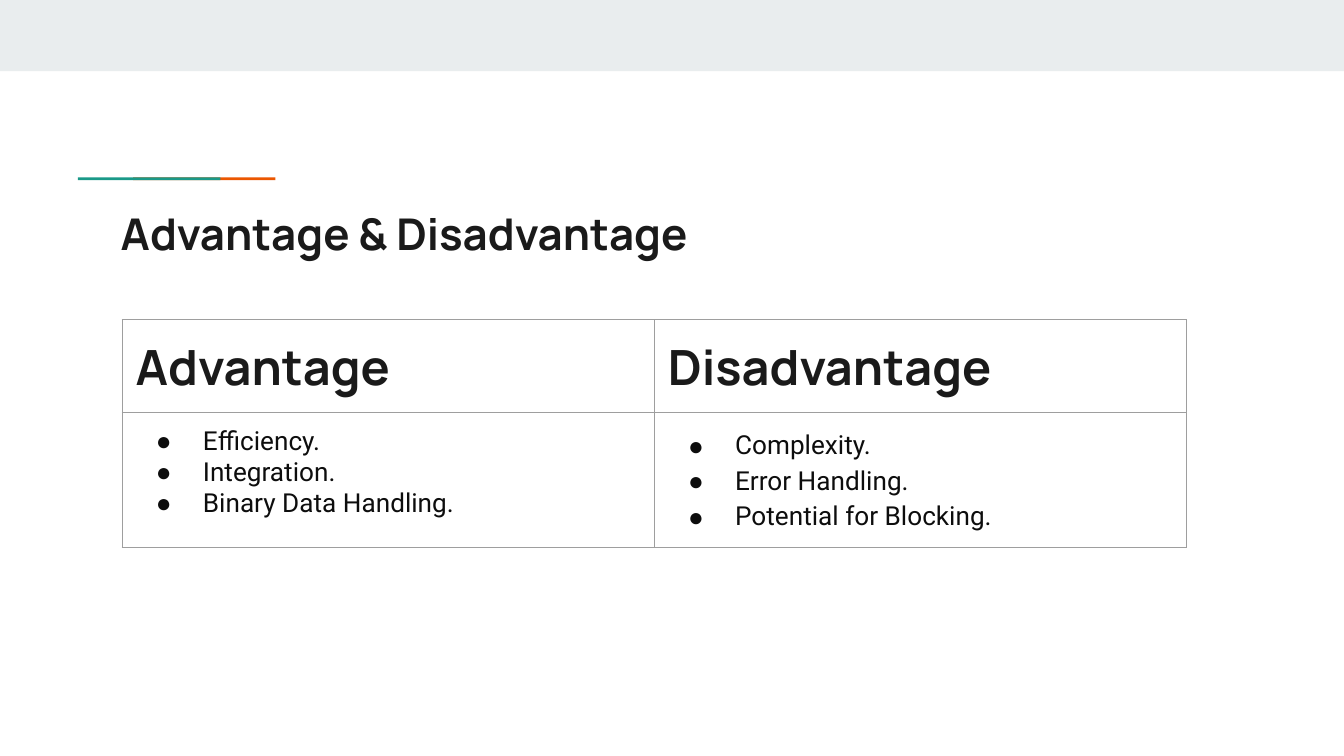
from lxml.etree import SubElement
from pptx import Presentation
from pptx.dml.color import RGBColor
from pptx.enum.shapes import MSO_SHAPE as Shape
from pptx.oxml.ns import qn
from pptx.util import Inches, Pt

COLORS = {
    "band": "E9EDEE",
    "orange": "EB5600",
    "teal": "1A9988",
    "heading": "1A1A1A",
    "body": "0D0D0D",
    "border": "9E9E9E",
}
TITLE = {"name": "Manrope", "size": Pt(23.4), "bold": True}
HEADER = {"name": "Manrope", "size": Pt(26), "bold": True}
BODY = {"name": "Roboto", "size": Pt(14), "bold": False}

# heading, points, line spacing
COLUMNS = [
    ("Advantage", ["Efficiency.", "Integration.", "Binary Data Handling."], 1.0),
    ("Disadvantage", ["Complexity.", "Error Handling.", "Potential for Blocking."], 1.15),
]


def add_bar(slide, color, left, top, width, height):
    bar = slide.shapes.add_shape(Shape.RECTANGLE, *map(Inches, (left, top, width, height)))
    bar.shadow.inherit = False
    bar.fill.solid()
    bar.fill.fore_color.rgb = RGBColor.from_string(COLORS[color])
    bar.line.fill.background()


def set_margins(box):
    for side in ("left", "top", "right", "bottom"):
        setattr(box, f"margin_{side}", Inches(0.1))


def write(paragraph, text, style, color):
    run = paragraph.add_run()
    run.text = text
    for attribute, value in style.items():
        setattr(run.font, attribute, value)
    run.font.color.rgb = RGBColor.from_string(COLORS[color])


def add_bullet(paragraph):
    properties = paragraph._p.get_or_add_pPr()
    properties.set("marL", str(Inches(0.5)))
    properties.set("indent", str(Inches(-0.35)))
    bullet_color = SubElement(properties, qn("a:buClr"))
    SubElement(bullet_color, qn("a:srgbClr"), val=COLORS["body"])
    SubElement(properties, qn("a:buFont"), typeface="Arial")
    SubElement(properties, qn("a:buChar"), char="●")


def style_cell(cell):
    """Give the cell even margins, thin borders and no fill."""
    set_margins(cell)
    properties = cell._tc.get_or_add_tcPr()
    for edge in ("lnL", "lnR", "lnT", "lnB"):
        line = SubElement(properties, qn(f"a:{edge}"), w=str(Pt(0.75)))
        fill = SubElement(line, qn("a:solidFill"))
        SubElement(fill, qn("a:srgbClr"), val=COLORS["border"])
    cell.fill.background()


def add_title(slide, text):
    frame = slide.shapes.add_textbox(*map(Inches, (0.8, 1.44, 8.41, 0.59))).text_frame
    frame.word_wrap = True
    set_margins(frame)
    write(frame.paragraphs[0], text, TITLE, "heading")


def add_comparison(slide):
    row_heights = (0.69, 0.99)
    area = map(Inches, (0.91, 2.38, 7.92, sum(row_heights)))
    table = slide.shapes.add_table(len(row_heights), len(COLUMNS), *area).table
    table.first_row = table.horz_banding = False
    for row, height in zip(table.rows, row_heights):
        row.height = Inches(height)

    for column, (heading, points, spacing) in enumerate(COLUMNS):
        header, body = table.cell(0, column), table.cell(1, column)
        style_cell(header)
        style_cell(body)
        write(header.text_frame.paragraphs[0], heading, HEADER, "heading")
        frame = body.text_frame
        for index, point in enumerate(points):
            paragraph = frame.add_paragraph() if index else frame.paragraphs[0]
            paragraph.line_spacing = spacing
            add_bullet(paragraph)
            write(paragraph, point, BODY, "body")


def main():
    deck = Presentation()
    deck.slide_width = Inches(10)
    deck.slide_height = Inches(10 * 9 / 16)
    slide = deck.slides.add_slide(deck.slide_layouts[6])
    add_bar(slide, "band", 0, 0, 10, 0.53)
    add_bar(slide, "orange", 0.99, 1.32, 1.06, 0.02)
    add_bar(slide, "teal", 0.58, 1.32, 1.06, 0.02)
    add_title(slide, "Advantage & Disadvantage")
    add_comparison(slide)
    deck.save("out.pptx")


if __name__ == "__main__":
    main()
